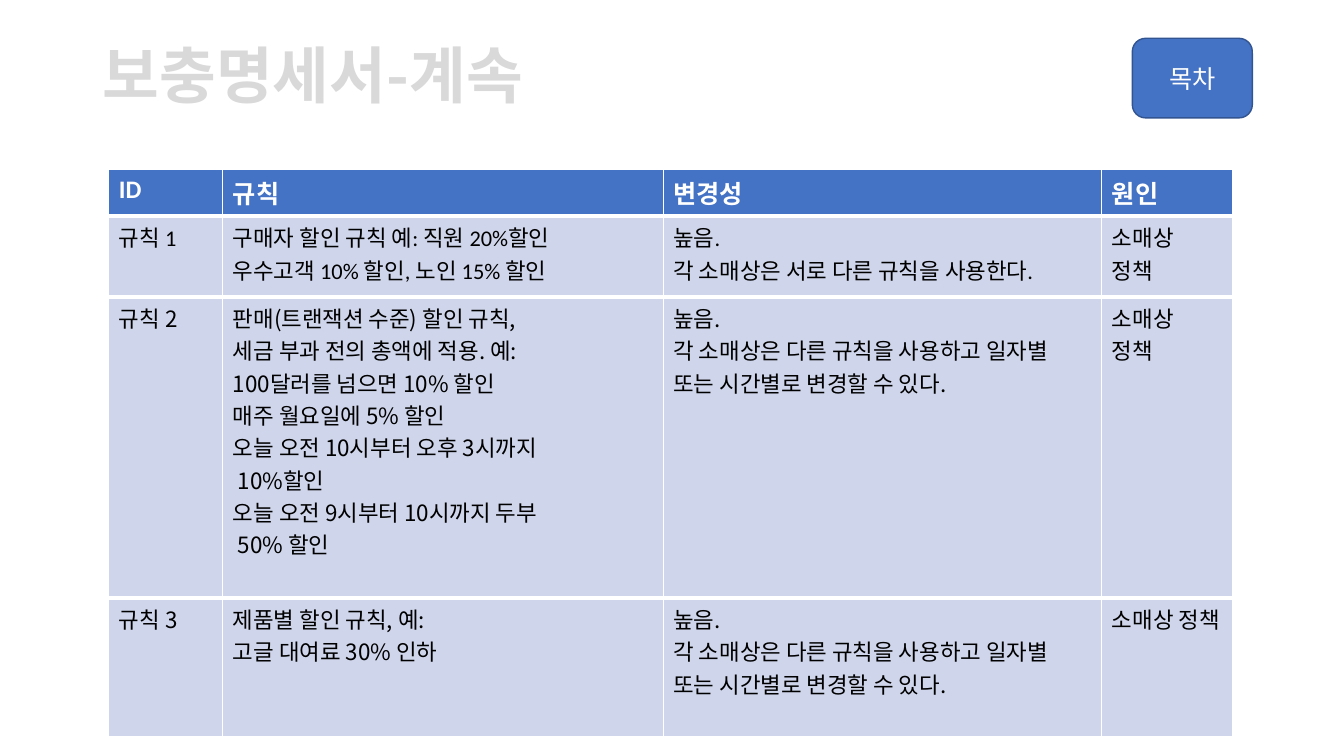
import pptx
import pptx.util
import pptx.dml.color
import pptx.enum.shapes
import pptx.enum.text
import pptx.oxml
import pptx.oxml.ns

COLORS = {
    "blue": "4472C4",
    "outline": "325491",
    "row": "CFD5EA",
    "title": "D9D9D9",
    "white": "FFFFFF",
    "black": "000000",
}
KOREAN = "Noto Sans CJK KR"
LATIN = "Calibri"
MIDDLE = pptx.enum.text.MSO_ANCHOR.MIDDLE

HEADERS = ["|ID", "규칙", "변경성", "원인"]
VARIES = "높음.\n각 소매상은 다른 규칙을 사용하고 일자별 또는 시간별로 변경할 수 있다."
RULES = [
    [
        "규칙| 1",
        "구매자 할인 규칙 예|: |직원| 20%|할인\n우수고객| 10% |할인|, |노인| 15% |할인",
        "높음|.\n각 소매상은 서로 다른 규칙을 사용한다|.",
        "소매상\n정책",
    ],
    [
        "규칙 2",
        "판매(트랜잭션 수준) 할인 규칙,\n세금 부과 전의 총액에 적용. 예:\n"
        "100달러를 넘으면 10% 할인\n매주 월요일에 5% 할인\n"
        "오늘 오전 10시부터 오후 3시까지\n 10%할인\n"
        "오늘 오전 9시부터 10시까지 두부\n 50% 할인",
        VARIES,
        "소매상\n정책",
    ],
    ["규칙 3", "제품별 할인 규칙, 예:\n고글 대여료 30% 인하", VARIES, "소매상 정책"],
]


def rgb(name):
    """Return the named palette colour."""
    return pptx.dml.color.RGBColor.from_string(COLORS[name])


def write_text(frame, text, size=16, color="black", bold=False, align=None, spacing=None):
    """Write one paragraph per line, with bars switching between Korean and Latin fonts."""
    for index, line in enumerate(text.split("\n")):
        paragraph = frame.add_paragraph() if index else frame.paragraphs[0]
        paragraph.alignment = align
        paragraph.line_spacing = spacing
        for position, piece in enumerate(line.split("|")):
            if not piece:
                continue
            run = paragraph.add_run()
            run.text = piece
            run.font.size = pptx.util.Pt(size)
            run.font.bold = bold
            run.font.color.rgb = rgb(color)
            run.font.name = LATIN if position % 2 else KOREAN
            east_asian = pptx.oxml.parse_xml(
                f'<a:ea {pptx.oxml.ns.nsdecls("a")} typeface="{KOREAN}"/>'
            )
            run.font.fill
            run._r.get_or_add_rPr().append(east_asian)


class SlideBuilder:
    """Place styled elements on a slide, measured in percent of its size."""

    def __init__(self, presentation):
        """Add a title-only slide to the presentation."""
        self.width = presentation.slide_width
        self.height = presentation.slide_height
        self.slide = presentation.slides.add_slide(presentation.slide_layouts[5])

    def across(self, share):
        """Return a share of the slide width."""
        return round(self.width * share / 100)

    def down(self, share):
        """Return a share of the slide height."""
        return round(self.height * share / 100)

    def box(self, left, top, width, height):
        """Return a rectangle in slide units."""
        return self.across(left), self.down(top), self.across(width), self.down(height)

    def title(self, text, *place):
        """Move and fill the title placeholder."""
        title = self.slide.shapes.title
        title.left, title.top, title.width, title.height = self.box(*place)
        title.text_frame.vertical_anchor = MIDDLE
        write_text(title.text_frame, text, size=44, color="title", bold=True,
                   align=pptx.enum.text.PP_ALIGN.LEFT, spacing=0.9)

    def button(self, text, *place):
        """Draw a rounded button."""
        shape = self.slide.shapes.add_shape(
            pptx.enum.shapes.MSO_SHAPE.ROUNDED_RECTANGLE, *self.box(*place)
        )
        shape.shadow.inherit = False
        shape.fill.solid()
        shape.fill.fore_color.rgb = rgb("blue")
        shape.line.color.rgb = rgb("outline")
        shape.line.width = pptx.util.Pt(1)
        shape.text_frame.vertical_anchor = MIDDLE
        write_text(shape.text_frame, text, size=18, color="white",
                   align=pptx.enum.text.PP_ALIGN.CENTER)

    def borders(self, cell, **widths):
        """Give a cell white borders of the given point widths."""
        for side, width in widths.items():
            cell._tc.get_or_add_tcPr().append(pptx.oxml.parse_xml(
                f'<a:ln{side} {pptx.oxml.ns.nsdecls("a")} w="{pptx.util.Pt(width)}">'
                f'<a:solidFill><a:srgbClr val="{COLORS["white"]}"/></a:solidFill>'
                f'</a:ln{side}>'
            ))

    def table(self, rows, left, top, widths, heights):
        """Draw a table with a header row."""
        place = self.box(left, top, sum(widths), sum(heights))
        table = self.slide.shapes.add_table(len(rows), len(widths), *place).table
        for column, width in zip(table.columns, widths):
            column.width = self.across(width)
        last = len(rows) - 1
        for index, (row, height, texts) in enumerate(zip(table.rows, heights, rows)):
            row.height = self.down(height)
            header = index == 0
            for cell, text in zip(row.cells, texts):
                self.borders(cell, L=1, R=1, T=1 if header else 3, B=1 if index == last else 3)
                cell.fill.solid()
                cell.fill.fore_color.rgb = rgb("blue" if header else "row")
                write_text(cell.text_frame, text, size=18 if header else 16,
                           color="white" if header else "black", bold=header)


def main():
    """Build and save the slide."""
    presentation = pptx.Presentation()
    presentation.slide_width = pptx.util.Inches(13.33)
    presentation.slide_height = pptx.util.Inches(7.5)
    builder = SlideBuilder(presentation)
    builder.button("목차", 84.25, 5.07, 8.93, 10.53)
    builder.table([HEADERS, *RULES], 8.1, 22.4,
                  widths=[8.48, 32.78, 32.63, 9.75], heights=[6, 10.7, 39.8, 18.4])
    builder.title("보충명세서-계속", 6.9, 5.07, 76.37, 10.53)
    presentation.save("out.pptx")


if __name__ == "__main__":
    main()
